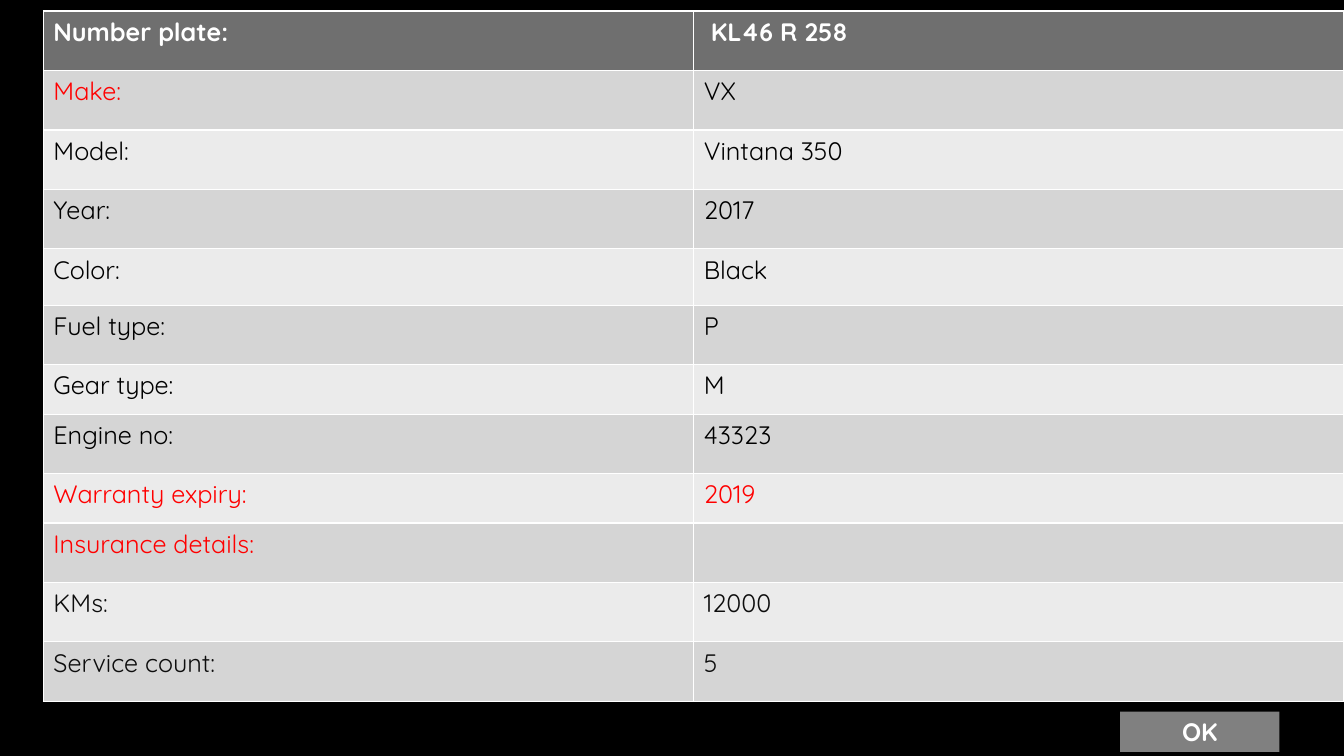
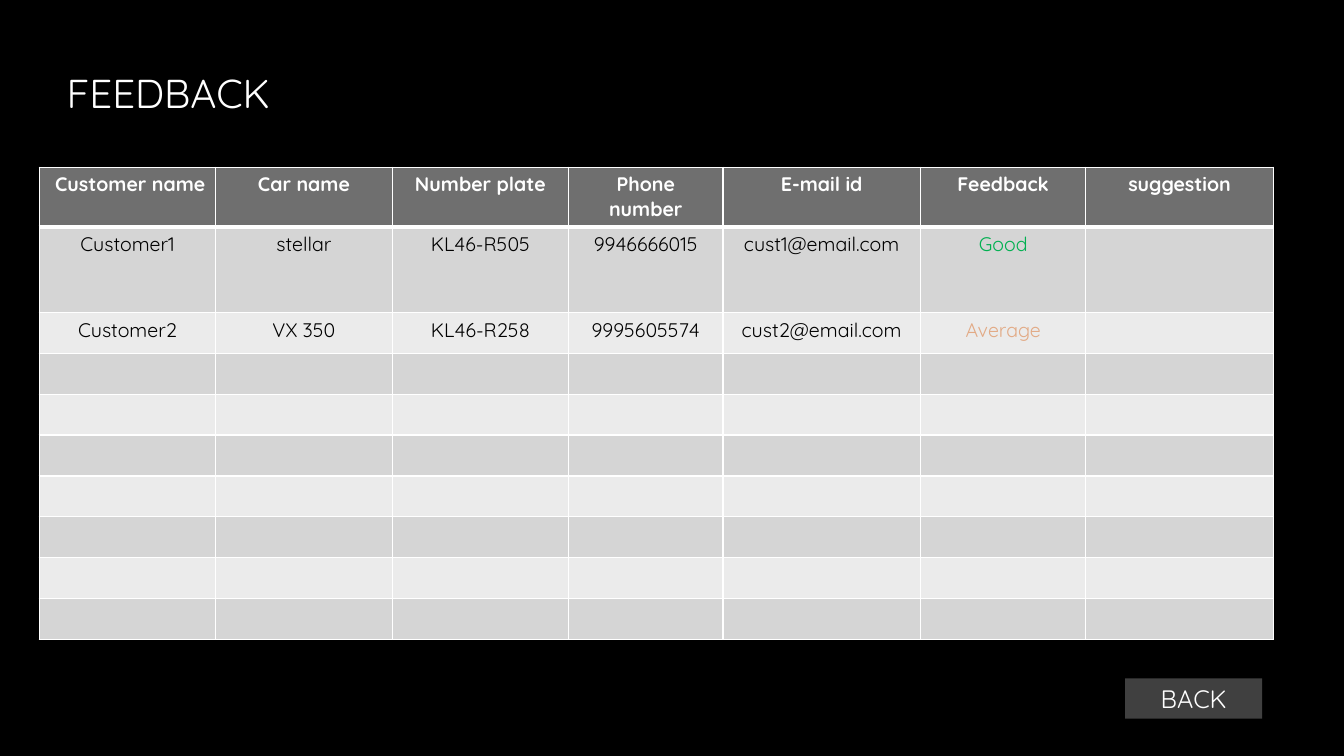
import dataclasses

import pptx
import pptx.dml.color
import pptx.enum.shapes
import pptx.enum.text
import pptx.oxml
import pptx.oxml.ns
import pptx.util

Inches = pptx.util.Inches
Pt = pptx.util.Pt
Align = pptx.enum.text.PP_ALIGN
Fit = pptx.enum.text.MSO_AUTO_SIZE


@dataclasses.dataclass(frozen=True)
class Theme:
    font: str = "Quicksand"
    back: str = "000000"
    ink: str = "000000"
    soft: str = "0D0D0D"
    white: str = "FFFFFF"
    fade: str = "A6A6A6"
    head: str = "6F6F6F"
    bands: tuple = ("D5D5D5", "EBEBEB")
    red: str = "FF0000"
    green: str = "00B050"
    tan: str = "E2AA85"
    light: str = "808080"
    dark: str = "404040"
    title: float = 28.8
    body: float = 18
    small: float = 14
    rule: float = 1


def tone(code):
    return pptx.dml.color.RGBColor.from_string(code)


class Deck:
    """Holds the theme and the current slide, and draws each kind of element."""

    def __init__(self, theme):
        self.theme = theme
        self.show = pptx.Presentation()
        self.show.slide_width = Inches(13.33)
        self.show.slide_height = Inches(7.5)
        fill = self.show.slide_master.background.fill
        fill.solid()
        fill.fore_color.rgb = tone(theme.back)
        self.slide = None

    def page(self, titled=False):
        layout = self.show.slide_layouts[5 if titled else 6]
        self.slide = self.show.slides.add_slide(layout)

    def label(self, frame, text, size, code, align, bold=False):
        frame.text = text
        line = frame.paragraphs[0]
        line.alignment = align
        for run in line.runs:
            run.font.name = self.theme.font
            run.font.size = Pt(size)
            run.font.bold = bold
            run.font.color.rgb = tone(code)

    def title(self, text, left, top, width, height):
        theme = self.theme
        box = self.slide.shapes.title
        box.left, box.top = Inches(left), Inches(top)
        box.width, box.height = Inches(width), Inches(height)
        frame = box.text_frame
        frame.auto_size = Fit.NONE
        frame.vertical_anchor = pptx.enum.text.MSO_ANCHOR.MIDDLE
        self.label(frame, text, theme.title, theme.white, Align.LEFT)
        fill = frame.paragraphs[0].runs[0].font.fill
        fill.gradient()
        fill.gradient_angle = 267
        for stop, code in zip(fill.gradient_stops, (theme.white, theme.fade)):
            stop.color.rgb = tone(code)

    def button(self, text, left, top, width, height, code, bold=False):
        box = self.slide.shapes.add_shape(
            pptx.enum.shapes.MSO_SHAPE.RECTANGLE,
            Inches(left), Inches(top), Inches(width), Inches(height))
        box.shadow.inherit = False
        box.fill.solid()
        box.fill.fore_color.rgb = tone(code)
        box.line.fill.background()
        box.text_frame.auto_size = Fit.SHAPE_TO_FIT_TEXT
        self.label(box.text_frame, text, self.theme.body, self.theme.white,
                   Align.CENTER, bold)

    def edge(self, cell, side, width):
        space = pptx.oxml.ns.nsdecls("a")
        cell._tc.get_or_add_tcPr().append(pptx.oxml.parse_xml(
            f'<a:ln{side} {space} w="{Pt(width)}"><a:solidFill>'
            f'<a:srgbClr val="{self.theme.white}"/></a:solidFill></a:ln{side}>'))

    def table(self, rows, left, top, widths, heights, size, align, tints, foot):
        theme = self.theme
        grid = self.slide.shapes.add_table(
            len(heights), len(widths), Inches(left), Inches(top),
            Inches(sum(widths)), Inches(sum(heights))).table
        for col, width in zip(grid.columns, widths):
            col.width = Inches(width)
        for y, height in enumerate(heights):
            grid.rows[y].height = Inches(height)
            texts = rows[y] if y < len(rows) else ()
            for x in range(len(widths)):
                cell = grid.cell(y, x)
                self.edge(cell, "L", theme.rule)
                self.edge(cell, "R", theme.rule)
                self.edge(cell, "T", foot if y == 1 else theme.rule)
                self.edge(cell, "B", foot if y == 0 else theme.rule)
                cell.fill.solid()
                cell.fill.fore_color.rgb = tone(
                    theme.bands[(y - 1) % 2] if y else theme.head)
                if x < len(texts) and texts[x]:
                    code = tints.get(texts[x], theme.ink) if y else theme.white
                    self.label(cell.text_frame, texts[x], size, code, align, y == 0)


def main():
    theme = Theme()
    deck = Deck(theme)

    deck.page()
    facts = [
        ("Number plate:", " KL46 R 258"),
        ("Make:", "VX"),
        ("Model:", "Vintana 350"),
        ("Year:", "2017"),
        ("Color:", "Black"),
        ("Fuel type:", "P"),
        ("Gear type:", "M"),
        ("Engine no:", "43323"),
        ("Warranty expiry:", "2019"),
        ("Insurance details:", ""),
        ("KMs:", "12000"),
        ("Service count:", "5"),
    ]
    tints = dict.fromkeys(
        ("Make:", "Warranty expiry:", "2019", "Insurance details:"), theme.red)
    tints.update(dict.fromkeys(facts[-2] + facts[-1], theme.soft))
    heights = [0.59] * 4 + [0.56, 0.59, 0.49, 0.59, 0.49] + [0.59] * 3
    deck.table(facts, 0.43, 0.11, [6.45] * 2, heights, theme.body, Align.LEFT,
               tints, theme.rule)
    deck.button("OK", 11.11, 7.06, 1.58, 0.4, theme.light, bold=True)

    deck.page(titled=True)
    deck.title("FEEDBACK", 0.56, 0.64, 2.39, 0.56)
    notes = [
        (" Customer name", "Car name", "Number plate", "Phone number",
         "E-mail id", "Feedback", "suggestion"),
        ("Customer1", "stellar", "KL46-R505", "9946666015",
         "cust1@email.com", "Good"),
        ("Customer2", "VX 350", "KL46-R258", "9995605574",
         "cust2@email.com", "Average"),
    ]
    deck.table(notes, 0.39, 1.66, [1.75] * 3 + [1.53, 1.96, 1.64, 1.86],
               [0.59, 0.85] + [3.24 / 8] * 8, theme.small, Align.CENTER,
               {"Good": theme.green, "Average": theme.tan}, 3 * theme.rule)
    deck.button("BACK", 11.16, 6.73, 1.36, 0.4, theme.dark)

    deck.show.save("out.pptx")


if __name__ == "__main__":
    main()
